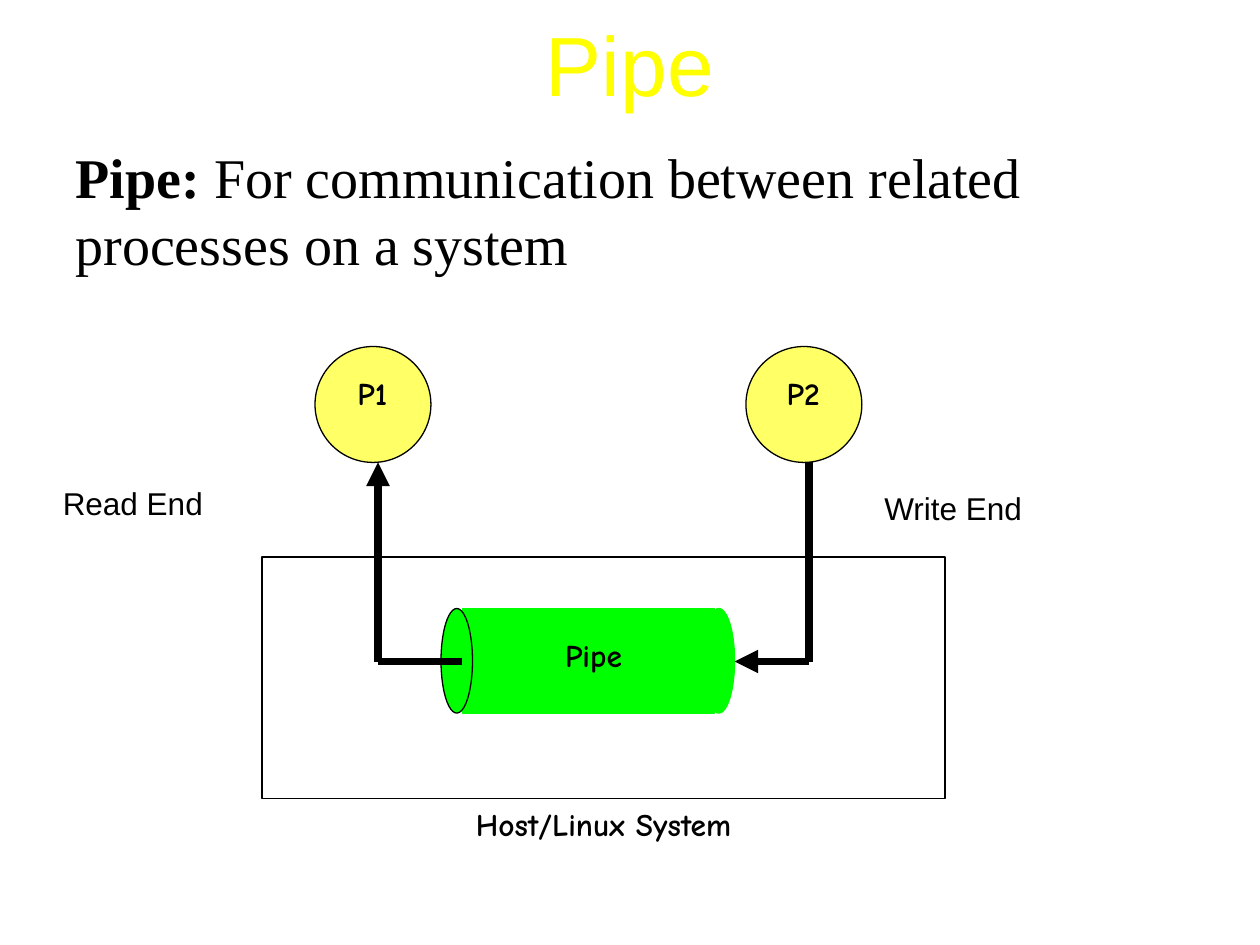
from lxml.etree import SubElement
from pptx import Presentation
from pptx.dml.color import RGBColor
from pptx.enum.shapes import MSO_CONNECTOR, MSO_SHAPE
from pptx.enum.text import MSO_ANCHOR, PP_ALIGN
from pptx.oxml.ns import qn
from pptx.util import Inches, Pt

BLACK, YELLOW, GREEN, WHITE = "000000", "FFFF66", "00FF00", "FFFFFF"
COMIC = "Comic Neue"
OVAL, RECT = MSO_SHAPE.OVAL, MSO_SHAPE.RECTANGLE
LEFT, CENTER = PP_ALIGN.LEFT, PP_ALIGN.CENTER

TITLE = ("Pipe", 48, "Arial", "FFFF00", False)
DEFINITION = [
    ("Pipe: ", 32, "Times New Roman", BLACK, True),
    ("For communication between related processes on a system",
     32, "Times New Roman", BLACK, False),
]
PROCESSES = [("P1", 2.5), ("P2", 5.92)]
SYSTEM = (2.08, 4.42, 5.42, 1.92)
PIPE_TOP, PIPE_HEIGHT = 4.83, 0.83
PIPE_PARTS = [
    (OVAL, 5.58, 0.25, GREEN),
    (RECT, 3.67, 2, GREEN),
    (OVAL, 3.5, 0.25, BLACK),
]
FLOWS = [
    [(6.42, 3.67), (6.42, 5.25), (5.83, 5.25)],
    [(3.67, 5.25), (3, 5.25), (3, 3.67)],
]
END_LABELS = [("Write End", 6.92, 3.83), ("Read End", 0.4, 3.79)]

prs = Presentation()
prs.slide_width, prs.slide_height = Inches(10), Inches(7.5)
s = prs.slides.add_slide(prs.slide_layouts[5])


def color(value):
    return RGBColor.from_string(value)


def write(tf, runs, align):
    tf.word_wrap = True
    p = tf.paragraphs[0]
    p.alignment = align
    for text, size, font, ink, bold in runs:
        r = p.add_run()
        r.text = text
        r.font.size, r.font.name, r.font.bold = Pt(size), font, bold
        r.font.color.rgb = color(ink)


def add_text(box, runs, align=LEFT):
    write(s.shapes.add_textbox(*map(Inches, box)).text_frame, runs, align)


def add_label(text, box):
    add_text(box, [(text, 18, COMIC, BLACK, True)], CENTER)


def add_shape(kind, box, fill, line=BLACK):
    sp = s.shapes.add_shape(kind, *map(Inches, box))
    sp.shadow.inherit = False
    sp.fill.solid()
    sp.fill.fore_color.rgb = color(fill)
    sp.line.color.rgb = color(line)
    sp.line.width = Pt(0.75)


def add_line(start, end, arrow):
    cn = s.shapes.add_connector(MSO_CONNECTOR.STRAIGHT, *map(Inches, start + end))
    cn.line.color.rgb = color(BLACK)
    cn.line.width = Pt(4.5)
    if arrow:
        SubElement(cn.line._get_or_add_ln(), qn("a:tailEnd"), type="triangle")
    SubElement(cn._element.spPr, qn("a:effectLst"))


title = s.shapes.title
title.left, title.top, title.width, title.height = map(Inches, (0.5, 0.25, 9, 0.5))
title.text_frame.vertical_anchor = MSO_ANCHOR.MIDDLE
write(title.text_frame, [TITLE], CENTER)
add_text((0.5, 1.08, 9.25, 1.58), DEFINITION)

for name, x in PROCESSES:
    add_shape(OVAL, (x, 2.75, 0.92, 0.92), YELLOW)
    add_label(name, (x + 0.08, 2.92, 0.75, 0.4))

add_shape(RECT, SYSTEM, WHITE)
x, y, w, h = SYSTEM
add_label("Host/Linux System", (x, y + h, w, 0.4))

for kind, x, w, line in PIPE_PARTS:
    add_shape(kind, (x, PIPE_TOP, w, PIPE_HEIGHT), GREEN, line)

for start, corner, end in FLOWS:
    add_line(start, corner, False)
    add_line(corner, end, True)
add_label("Pipe", (4.17, 5, 1.08, 0.4))

for text, x, y in END_LABELS:
    add_text((x, y, 2.17, 0.4), [(text, 18, "Arial", BLACK, False)])

prs.save("out.pptx")
